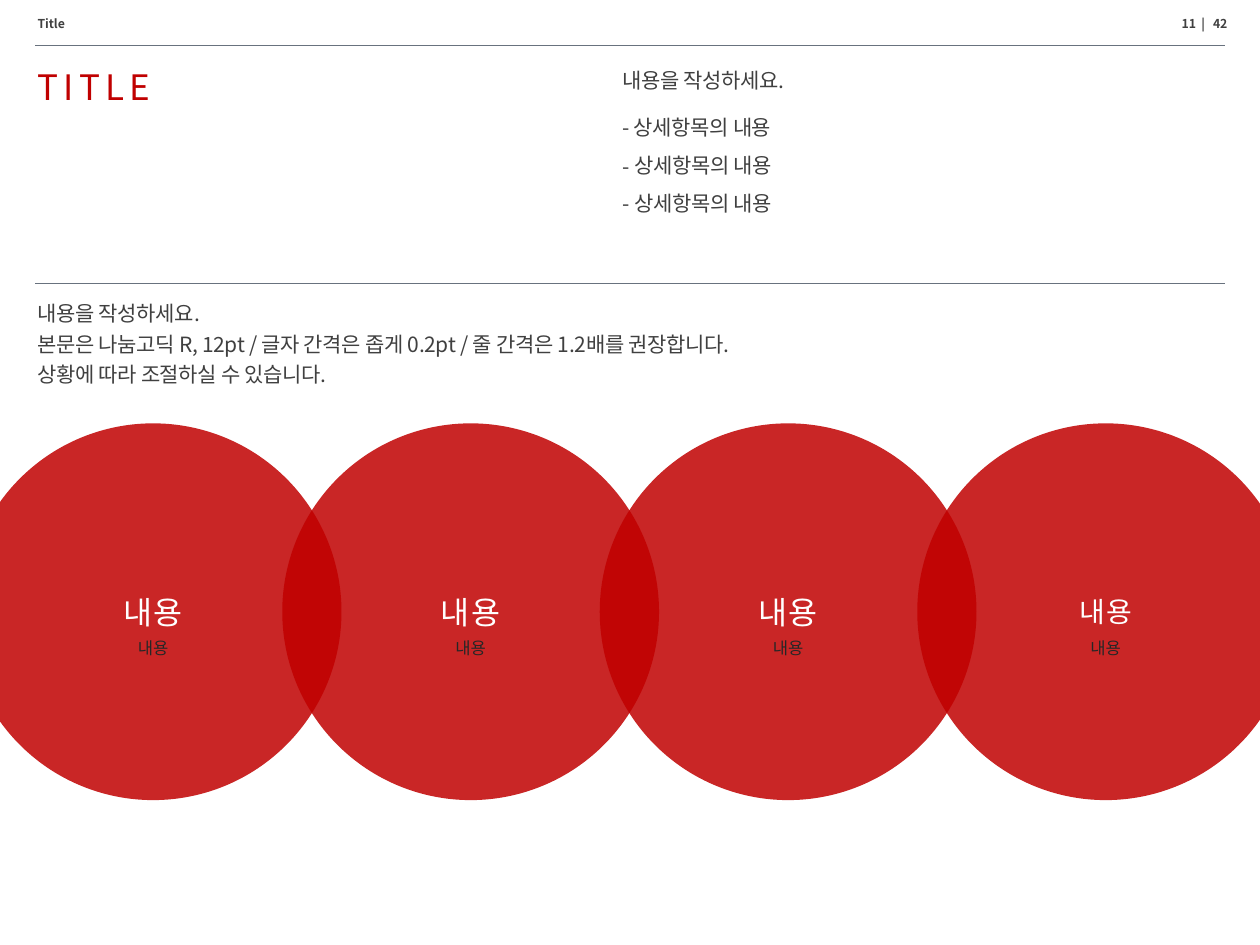
from pptx import Presentation
from pptx.dml.color import RGBColor
from pptx.enum.shapes import MSO_CONNECTOR, MSO_SHAPE
from pptx.enum.text import MSO_ANCHOR, MSO_AUTO_SIZE, PP_ALIGN
from pptx.oxml.ns import qn
from pptx.util import Inches, Pt
from lxml.etree import SubElement

FONT = "Noto Sans CJK KR"
RED = RGBColor(0xC0, 0x00, 0x00)
WHITE = RGBColor(0xFF, 0xFF, 0xFF)
DARK = RGBColor(0x40, 0x40, 0x40)
CAPTION = RGBColor(0x26, 0x26, 0x26)
RULE = RGBColor(0x68, 0x72, 0x7E)

# Content
HEADER = "Title"
PAGE_NUMBER = ["11", " | ", "42"]
TITLE = "TITLE"
LEAD = "내용을 작성하세요."
FIRST_DETAIL = "- 상세항목의 내용"
BULLET_DETAILS = ["상세항목의 내용", "상세항목의 내용"]
BODY = [
    "내용을 작성하세요.",
    "본문은 나눔고딕 R, 12pt / 글자 간격은 좁게 0.2pt / 줄 간격은 1.2배를 권장합니다.",
    "상황에 따라 조절하실 수 있습니다.",
]
CIRCLES = [("내용", 18, "내용"), ("내용", 18, "내용"),
           ("내용", 18, "내용"), ("내용", 16, "내용")]  # label, size, caption

# Layout, in inches
RULE_LEFT, RULE_RIGHT, RULE_TOPS = 0.28, 9.72, (0.36, 2.25)
CIRCLE_LEFT, CIRCLE_TOP, CIRCLE_SIZE, CIRCLE_STEP = -0.28, 3.36, 2.99, 2.52
CAPTION_TOP, CAPTION_WIDTH, CAPTION_HEIGHT = 5.01, 0.45, 0.26


def add_run(paragraph, text, size, color, spacing=0, bold=False):
    run = paragraph.add_run()
    run.text = text
    font = run.font
    font.name, font.size, font.bold = FONT, Pt(size), bold
    font.color.rgb = color
    properties = run._r.get_or_add_rPr()
    if spacing:
        properties.set("spc", str(round(spacing * 100)))
    SubElement(properties, qn("a:ea"), typeface=FONT)


def add_text(slide, box, lines, size, color, spacing=0, bold=False,
             line_spacing=None, align=None, wrap=True):
    """Add a text box; each line is a string or a list of (text, spacing)."""
    shape = slide.shapes.add_textbox(*map(Inches, box))
    frame = shape.text_frame
    frame.word_wrap = wrap
    frame.auto_size = MSO_AUTO_SIZE.SHAPE_TO_FIT_TEXT
    for index, line in enumerate(lines):
        paragraph = frame.add_paragraph() if index else frame.paragraphs[0]
        paragraph.alignment = align
        paragraph.line_spacing = line_spacing
        runs = [(line, spacing)] if isinstance(line, str) else line
        for text, run_spacing in runs:
            add_run(paragraph, text, size, color, run_spacing, bold)
    return frame


def add_dash_bullet(paragraph):
    properties = paragraph._p.get_or_add_pPr()
    indent = Inches(0.1)
    properties.set("marL", str(indent))
    properties.set("indent", str(-indent))
    SubElement(properties, qn("a:buFont"), typeface=FONT)
    SubElement(properties, qn("a:buChar"), char="-")


def add_rule(slide, top):
    line = slide.shapes.add_connector(
        MSO_CONNECTOR.STRAIGHT, Inches(RULE_LEFT), Inches(top),
        Inches(RULE_RIGHT), Inches(top))
    line.line.color.rgb = RULE
    line.line.width = Pt(0.25)
    SubElement(line._element.spPr, qn("a:effectLst"))


def add_circle(slide, left, label, size):
    circle = slide.shapes.add_shape(
        MSO_SHAPE.OVAL, Inches(left), Inches(CIRCLE_TOP),
        Inches(CIRCLE_SIZE), Inches(CIRCLE_SIZE))
    circle.shadow.inherit = False
    circle.line.fill.background()
    circle.fill.solid()
    circle.fill.fore_color.rgb = RED
    color = circle._element.spPr.find(qn("a:solidFill"))[0]
    SubElement(color, qn("a:alpha"), val="85000")
    circle.text_frame.vertical_anchor = MSO_ANCHOR.MIDDLE
    paragraph = circle.text_frame.paragraphs[0]
    paragraph.alignment = PP_ALIGN.CENTER
    add_run(paragraph, label, size, WHITE, 0.8)


def main():
    presentation = Presentation()
    presentation.slide_width = Inches(10)
    presentation.slide_height = Inches(7.5)
    slide = presentation.slides.add_slide(presentation.slide_layouts[6])

    # Header and rules
    for top in RULE_TOPS:
        add_rule(slide, top)
    add_text(slide, (0.2, 0.1, 2.56, 0.2), [HEADER], 7, DARK, bold=True,
             line_spacing=0.8)
    current, separator, total = PAGE_NUMBER
    add_text(slide, (7.28, 0.1, 2.56, 0.2),
             [[(current, 0), (separator, 1.5), (total, 0)]], 7, DARK,
             bold=True, line_spacing=0.8, align=PP_ALIGN.RIGHT)

    # Title, details and body
    add_text(slide, (0.2, 0.51, 2.44, 0.4), [TITLE], 20, RED, 3,
             line_spacing=0.9)
    add_text(slide, (4.84, 0.52, 2.52, 0.27), [LEAD], 12, DARK, -0.2,
             line_spacing=0.85)
    details = add_text(slide, (4.84, 0.76, 2.52, 1.01),
                       [FIRST_DETAIL, *BULLET_DETAILS], 12, DARK, -0.2,
                       line_spacing=1.5)
    for paragraph in details.paragraphs[1:]:
        add_dash_bullet(paragraph)
    add_text(slide, (0.2, 2.3, 9.53, 0.83), BODY, 12, DARK, -0.2,
             line_spacing=1.2)

    # Overlapping circles, then their captions on top
    lefts = [CIRCLE_LEFT + CIRCLE_STEP * i for i in range(len(CIRCLES))]
    for left, (label, size, _) in zip(lefts, CIRCLES):
        add_circle(slide, left, label, size)
    for left, (_, _, caption) in zip(lefts, CIRCLES):
        caption_left = left + (CIRCLE_SIZE - CAPTION_WIDTH) / 2
        add_text(slide,
                 (caption_left, CAPTION_TOP, CAPTION_WIDTH, CAPTION_HEIGHT),
                 [caption], 9.5, CAPTION, align=PP_ALIGN.CENTER, wrap=False)

    presentation.save("out.pptx")


if __name__ == "__main__":
    main()
